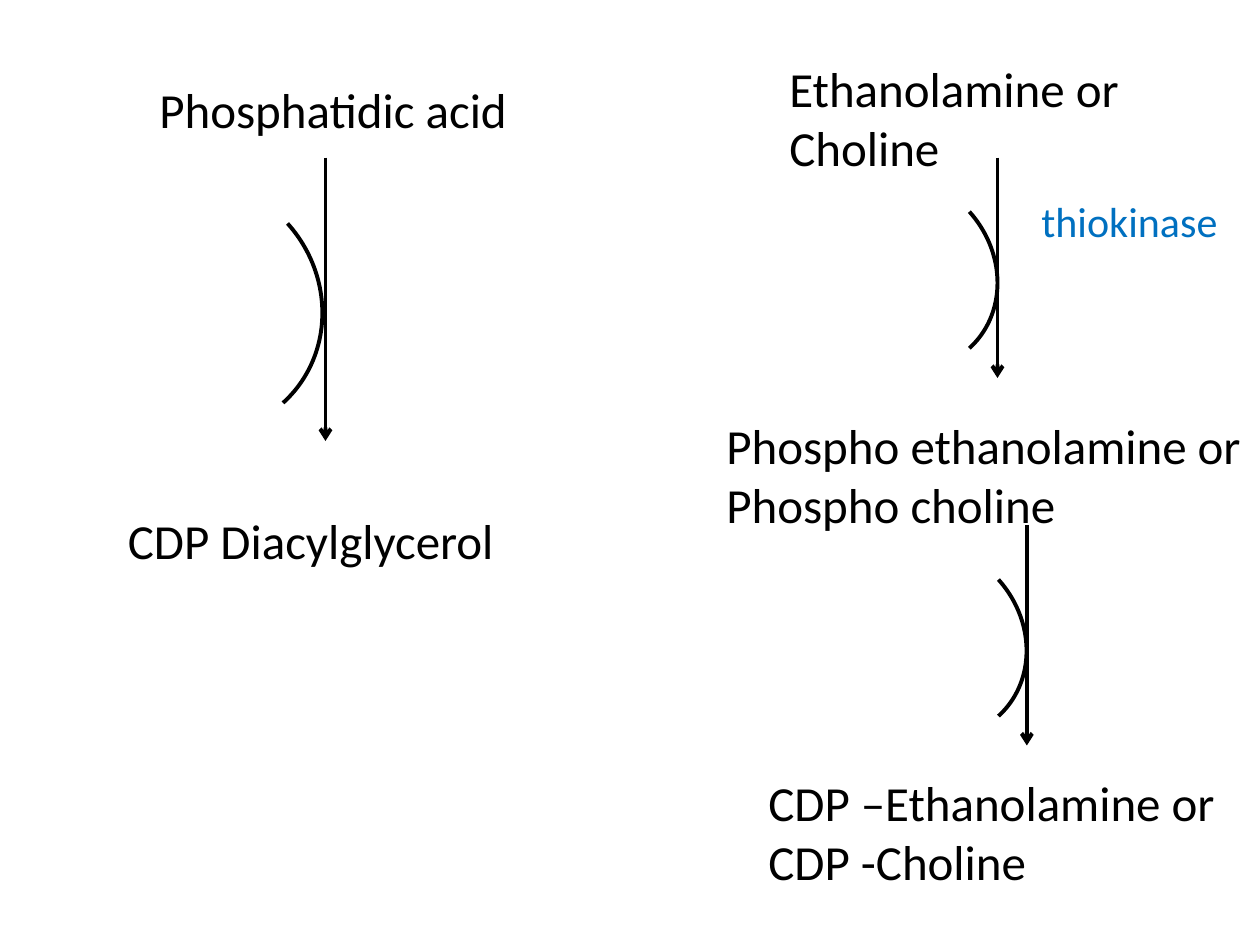
from pptx import Presentation
from pptx.dml.color import RGBColor
from pptx.enum.shapes import MSO_CONNECTOR, MSO_SHAPE
from pptx.enum.text import MSO_AUTO_SIZE
from pptx.oxml.ns import qn
from pptx.util import Pt
from lxml.etree import SubElement


def paint(target, color):
    target.rgb = RGBColor.from_string(color)


deck = Presentation()
deck.slide_width, deck.slide_height = Pt(720), Pt(540)
slide = deck.slides.add_slide(deck.slide_layouts[6])

labels = [
    ("Ethanolamine or Choline", 444, 30, 258, 75, 28, "000000"),
    ("Phospho ethanolamine or\nPhospho choline", 408, 234, 312, 108, 28, "000000"),
    ("CDP –Ethanolamine or\nCDP -Choline", 432, 438, 288, 108, 28, "000000"),
    ("thiokinase", 588, 108, 132, 36, 24, "0070C0"),
    ("Phosphatidic acid", 84, 42, 240, 75, 28, "000000"),
    ("CDP Diacylglycerol", 66, 288, 240, 75, 28, "000000"),
]
for text, left, top, width, height, size, color in labels:
    box = slide.shapes.add_textbox(Pt(left), Pt(top), Pt(width), Pt(height))
    frame = box.text_frame
    frame.word_wrap = True
    frame.auto_size = MSO_AUTO_SIZE.SHAPE_TO_FIT_TEXT
    frame.text = text
    for para in frame.paragraphs:
        para.font.name = "Calibri"
        para.font.size = Pt(size)
        paint(para.font.color, color)

steps = [
    (570, 90, 126, 457.2, 103.7, 115.9, 104.4),
    (586.8, 300, 126, 473.8, 313.9, 115.9, 104.4),
    (186, 90, 162, 37.4, 104.4, 149, 141.1),
]
for x, top, length, left, high, width, height in steps:
    group = slide.shapes.add_group_shape()
    arrow = group.shapes.add_connector(
        MSO_CONNECTOR.STRAIGHT, Pt(x), Pt(top), Pt(x), Pt(top + length))
    arc = group.shapes.add_shape(
        MSO_SHAPE.ARC, Pt(left), Pt(high), Pt(width), Pt(height))
    arc.rotation = 48
    arc.fill.background()
    arc.shadow.inherit = False
    for shape in (arrow, arc):
        shape.line.width = Pt(2.25)
        paint(shape.line.color, "000000")
    SubElement(arrow.line._get_or_add_ln(), qn("a:tailEnd"), type="arrow")
    SubElement(arrow._element.spPr, qn("a:effectLst"))

deck.save("out.pptx")
